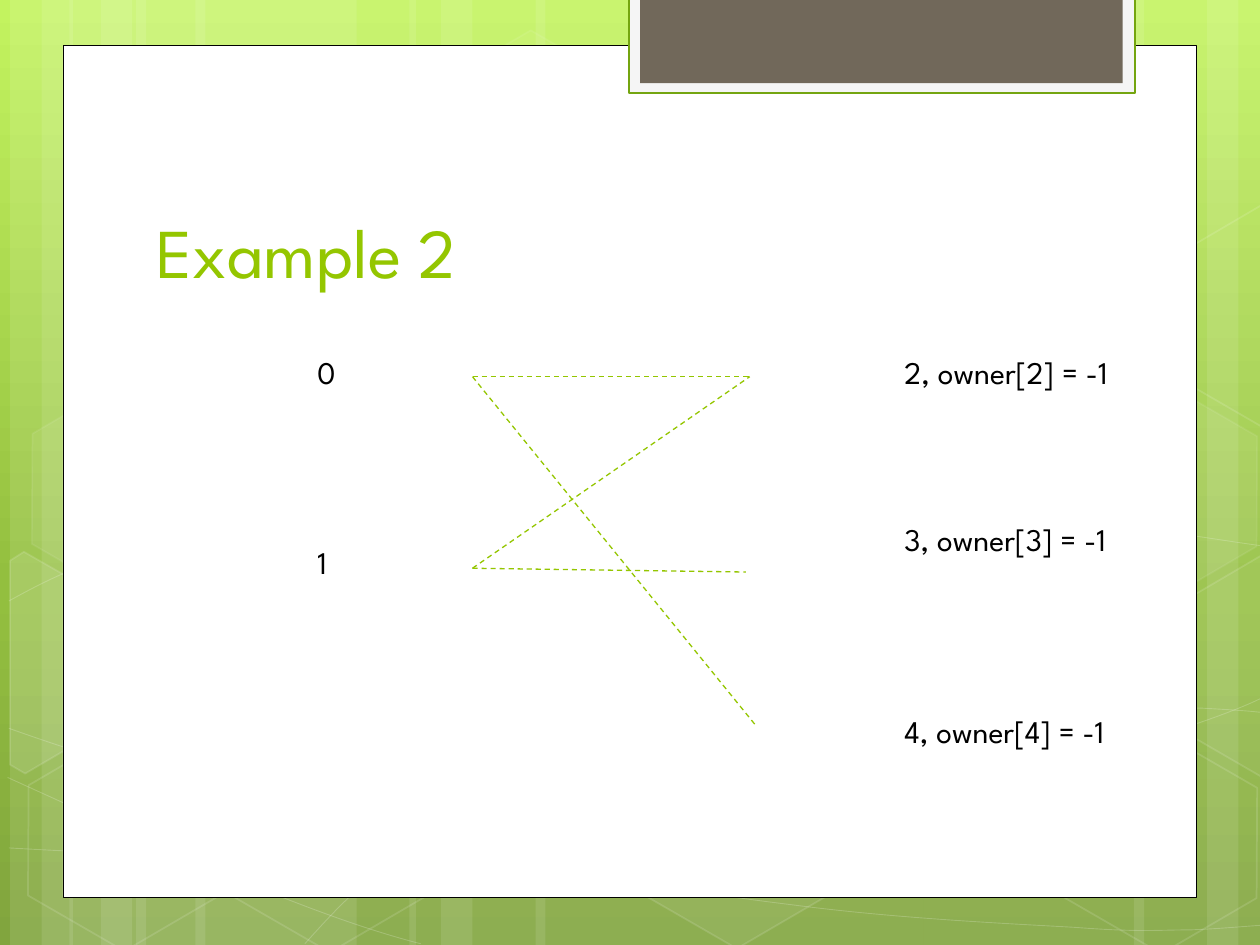
from copy import deepcopy

from lxml import etree
from pptx import Presentation
from pptx.dml.color import RGBColor
from pptx.enum.dml import MSO_LINE
from pptx.enum.shapes import MSO_CONNECTOR, MSO_SHAPE
from pptx.enum.text import MSO_ANCHOR, PP_ALIGN
from pptx.oxml.ns import qn
from pptx.util import Emu, Pt

PX = 9144  # EMU per px, 100 px to the inch
WIDTH, HEIGHT = 1000, 750
FONT = "League Spartan"
WHITE = RGBColor(0xFF, 0xFF, 0xFF)
BLACK = RGBColor(0x00, 0x00, 0x00)
GREEN = RGBColor(0x94, 0xC6, 0x00)
TAB_EDGE = RGBColor(0x74, 0xA5, 0x10)
TAB_RIM = RGBColor(0xF5, 0xF5, 0xF5)
TAB_BROWN = RGBColor(0x71, 0x68, 0x5A)
GRADIENT = [(0, RGBColor(0xC3, 0xF3, 0x5F)), (0.62, RGBColor(0x93, 0xBF, 0x3F)),
            (1, RGBColor(0x81, 0xA5, 0x3E))]
RECT, HEXAGON = MSO_SHAPE.RECTANGLE, MSO_SHAPE.HEXAGON
STRAIGHT, DASH = MSO_CONNECTOR.STRAIGHT, MSO_LINE.DASH

STRIPES = [(108, 175), (8, 50), (33, 83), (155, 175), (55, 50), (80, 83),
           (733, 175), (958, 50), (900, 83), (425, 308), (325, 50), (350, 83)]
# Start point, then Bezier points in threes
CURVES = [
    [(7, 673), (61, 676), (115, 679), (190, 678), (265, 677), (358, 675), (458, 665),
     (558, 655), (700, 636), (792, 617), (883, 598), (977, 568), (1007, 551)],
    [(7, 477), (36, 461), (65, 446), (121, 431), (178, 416), (259, 394), (347, 387),
     (436, 380), (544, 379), (654, 387), (764, 395), (947, 426), (1007, 434)],
    [(6, 617), (127, 672), (247, 727), (334, 749)],
    [(7, 578), (38, 589), (70, 600), (128, 616), (186, 631), (273, 656), (357, 673),
     (440, 690), (545, 708), (628, 718), (711, 729), (800, 733), (853, 736),
     (905, 740), (919, 738), (945, 738), (971, 737), (989, 735), (1007, 734)],
    [(242, 749), (260, 729), (278, 709), (302, 691), (326, 673), (360, 653), (388, 639),
     (416, 625), (433, 619), (470, 609), (506, 599), (573, 585), (608, 578),
     (644, 571), (649, 571), (680, 569), (711, 566), (760, 563), (794, 562),
     (829, 561), (886, 562), (886, 562), (908, 562), (931, 562), (953, 562),
     (971, 563), (988, 564), (997, 565), (1006, 566), (1003, 565), (1006, 566)],
]
# Left, top, fill opacity, line opacity
HEXAGONS = [(334, 36, 4, 8), (497, 589, 6, 12), (11, 591, 0, 12), (14, 312, 7, 8),
            (174, 592, 0, 12), (753, 453, 10, 12), (834, 593, 0, 12), (834, 314, 7, 8)]
# Hexagons cut off at the slide edge: points, fill opacity
CUT_HEXAGONS = [
    ([(8, 445), (19, 438), (96, 482), (95, 570), (20, 614), (8, 607)], 10),
    ([(926, 485), (1001, 441), (1009, 446), (1009, 613), (1002, 617), (926, 573)], 4),
    ([(926, 207), (1001, 163), (1010, 168), (1009, 335), (1002, 339), (926, 295)], 0),
]
LABELS = [("0", 242, 275, 33), ("1", 242, 426, 33), ("3, owner[3] = -1", 708, 408, 225),
          ("4, owner[4] = -1", 708, 560, 225), ("2, owner[2] = -1", 708, 275, 208)]
LEFT_0, LEFT_1 = (375, 299), (375, 451)
RIGHT_2, RIGHT_3, RIGHT_4 = (595, 299), (592, 454), (600, 576)
EDGES = [(LEFT_0, RIGHT_2), (LEFT_1, RIGHT_3), (LEFT_1, RIGHT_2), (LEFT_0, RIGHT_4)]


def px(*lengths):
    return [Emu(n * PX) for n in lengths]


def paint(fill, color, opacity=100):
    """Solid fill, or no fill at zero opacity."""
    if not opacity:
        fill.background()
        return
    fill.solid()
    fill.fore_color.rgb = color
    if opacity < 100:
        clr = fill._xPr.find(".//" + qn("a:srgbClr"))
        etree.SubElement(clr, qn("a:alpha"), val=str(opacity * 1000))


def style(sp, fill=WHITE, opacity=100, line=None, width=1, line_opacity=100):
    sp.shadow.inherit = False
    paint(sp.fill, fill, opacity)
    if line is None:
        sp.line.fill.background()
    else:
        sp.line.width = Pt(width)
        paint(sp.line.fill, line, line_opacity)


def add_box(s, kind, box, **look):
    sp = s.shapes.add_shape(kind, *px(*box))
    style(sp, **look)
    return sp


def add_outline(s, points, close, **look):
    builder = s.shapes.build_freeform(*points[0], scale=PX)
    builder.add_line_segments(points[1:], close=close)
    sp = builder.convert_to_shape()
    style(sp, **look)
    return sp


def bend(sp):
    """Turn each three line segments of a freeform into one Bezier segment."""
    outline = sp._element.find(".//" + qn("a:pathLst"))[0]
    segments = outline.findall(qn("a:lnTo"))
    for i in range(0, len(segments), 3):
        curve = etree.SubElement(outline, qn("a:cubicBezTo"))
        for segment in segments[i:i + 3]:
            curve.append(segment[0])
            outline.remove(segment)


def add_gradient(s):
    fill = s.background.fill
    fill.gradient()
    fill.gradient_angle = 270
    stops = s._element.find(".//" + qn("a:gsLst"))
    stops.insert(1, deepcopy(stops[0]))
    for stop, (position, color) in zip(fill.gradient_stops, GRADIENT):
        stop.position = position
        stop.color.rgb = color


def add_backdrop(s):
    add_gradient(s)
    for left, width in STRIPES:
        add_box(s, RECT, (left, 0, width, HEIGHT), opacity=10)
    for curve in CURVES:
        bend(add_outline(s, curve, False, opacity=0,
                         line=WHITE, width=0.5, line_opacity=20))
    for left, top, opacity, line_opacity in HEXAGONS:
        sp = add_box(s, HEXAGON, (left, top, 175, 152), opacity=opacity,
                     line=WHITE, line_opacity=line_opacity)
        sp.adjustments[0] = 0.285
        sp.rotation = 30
    for points, opacity in CUT_HEXAGONS:
        add_outline(s, points, True, opacity=opacity, line=WHITE, line_opacity=12)


def add_card(s, left, top, width, height):
    add_box(s, RECT, (left, top, width, height), line=BLACK, width=0.5)
    add_box(s, RECT, (left + 449, top - 38, 402, 76), fill=TAB_RIM, line=TAB_EDGE, width=1.25)
    add_box(s, RECT, (left + 458, top - 38, 383, 68), fill=TAB_BROWN)


def write(tf, text, size, color):
    tf.word_wrap = True
    p = tf.paragraphs[0]
    p.text = text
    p.alignment = PP_ALIGN.LEFT
    p.font.size = Pt(size)
    p.font.name = FONT
    p.font.color.rgb = color


def add_title(s, text, *box):
    title = s.shapes.title
    title.left, title.top, title.width, title.height = px(*box)
    title.text_frame.vertical_anchor = MSO_ANCHOR.BOTTOM
    write(title.text_frame, text, 40, GREEN)
    s.shapes._spTree.append(title._element)  # in front of the card


def add_graph(s):
    for start, end in EDGES:
        edge = s.shapes.add_connector(STRAIGHT, *px(*start, *end))
        edge.line.color.rgb = GREEN
        edge.line.width = Pt(0.75)
        edge.line.dash_style = DASH
        etree.SubElement(edge._element.spPr, qn("a:effectLst"))
    for text, left, top, width in LABELS:
        label = s.shapes.add_textbox(*px(left, top, width, 40))
        write(label.text_frame, text, 18, BLACK)


def main():
    prs = Presentation()
    prs.slide_width, prs.slide_height = px(WIDTH, HEIGHT)
    s = prs.slides.add_slide(prs.slide_layouts[5])
    add_backdrop(s)
    add_card(s, 50, 36, 900, 676)
    add_title(s, "Example 2", 114, 112, 768, 125)
    add_graph(s)
    prs.save("out.pptx")


if __name__ == "__main__":
    main()
